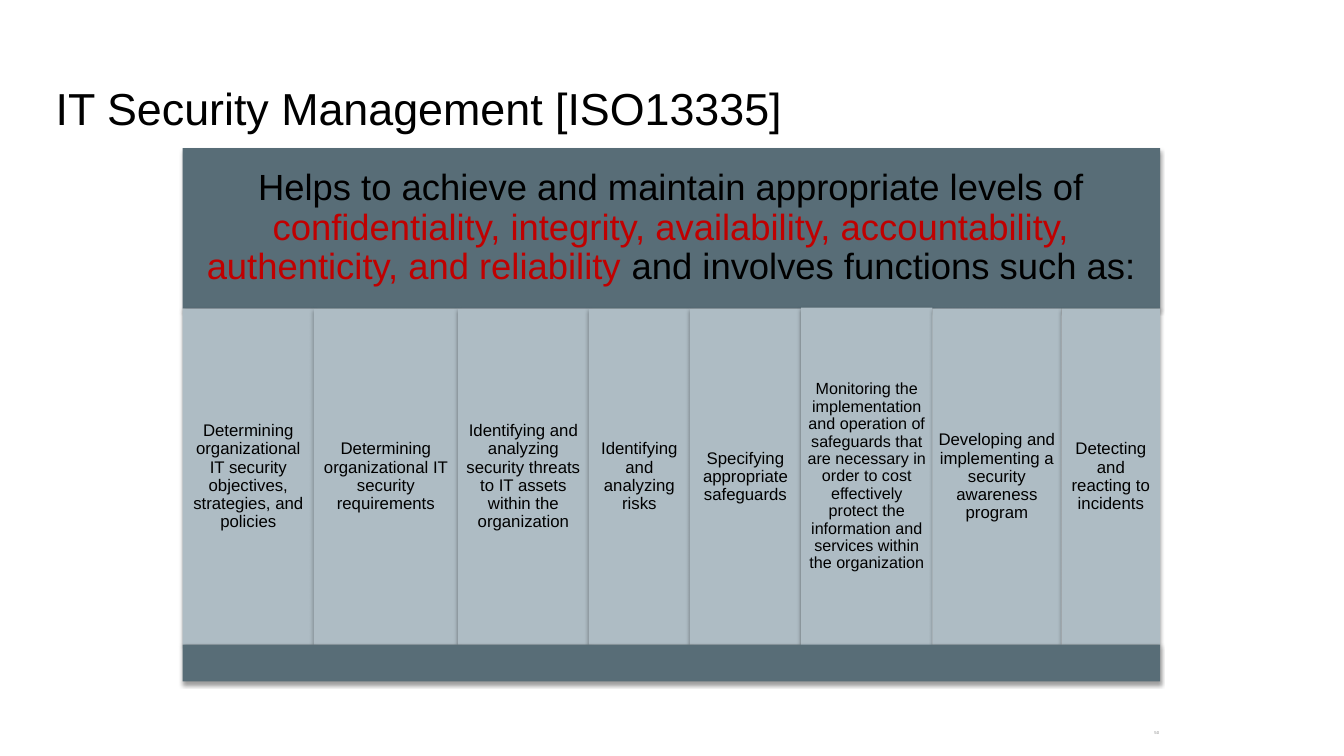
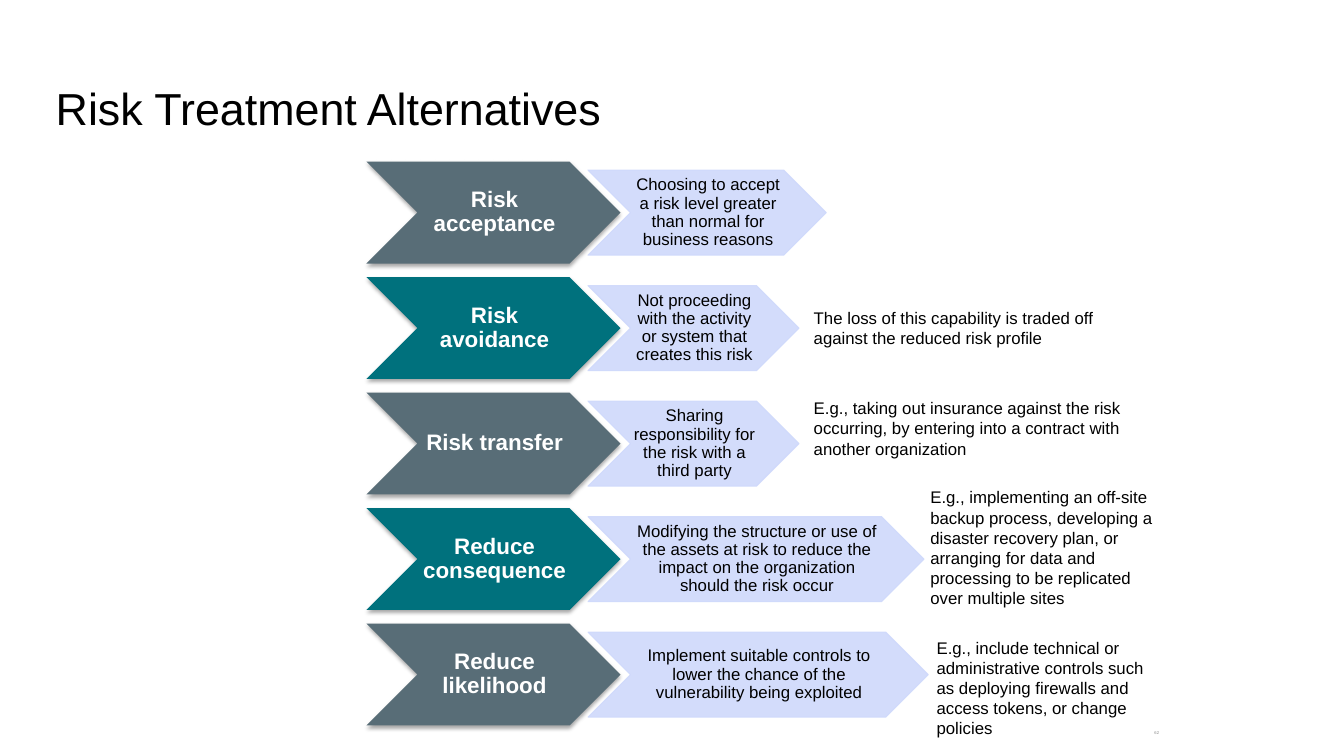
from lxml.etree import SubElement
from pptx import Presentation
from pptx.dml.color import RGBColor
from pptx.enum.shapes import MSO_SHAPE as Kind
from pptx.enum.text import MSO_ANCHOR as Anchor, MSO_AUTO_SIZE as Fit, PP_ALIGN as Align
from pptx.oxml.ns import qn
from pptx.util import Pt

PX = 9525
FONT = "Arial"
HEX = {
    "black": "000000", "white": "FFFFFF", "gray": "8C8C8C", "red": "C00000",
    "slate": "586D77", "mist": "AEBCC4", "teal": "00717D", "pale": "CFD9FB",
}
CELLS = [
    (125, "Determining organizational IT security objectives, strategies, and policies", 12, 0),
    (137, "Determining organizational IT security requirements", 12, 0),
    (125, "Identifying and analyzing security threats to IT assets within the organization", 12, 0),
    (96, "Identifying and analyzing risks", 12, 0),
    (106, "Specifying appropriate safeguards", 12, 0),
    (125, "Monitoring the implementation and operation of safeguards that are necessary "
          "in order to cost effectively protect the information and services within "
          "the organization", 11.5, 1),
    (123, "Developing and implementing a security awareness program", 12, 0),
    (94, "Detecting and reacting to incidents", 12, 0),
]
RISKS = [
    ("Risk acceptance", 227,
     "Choosing to accept a risk level greater than normal for business reasons", None),
    ("Risk avoidance", 201,
     "Not proceeding with the activity or system that creates this risk",
     (416, 24, 315, 48, "The loss of this capability is traded off against the reduced "
                        "risk profile")),
    ("Risk transfer", 201,
     "Sharing responsibility for the risk with a third party",
     (416, 0, 315, 68, "E.g., taking out insurance against the risk occurring, by entering "
                       "into a contract with another organization")),
    ("Reduce consequence", 320,
     "Modifying the structure or use of the assets at risk to reduce the impact on the "
     "organization should the risk occur",
     (527, -25, 238, 126, "E.g., implementing an off-site backup process, developing a "
                          "disaster recovery plan, or arranging for data and processing "
                          "to be replicated over multiple sites")),
    ("Reduce likelihood", 324,
     "Implement suitable controls to lower the chance of the vulnerability being exploited",
     (533, 8, 238, 87, "E.g., include technical or administrative controls such as deploying "
                       "firewalls and access tokens, or change policies")),
]


def color(name):
    return RGBColor.from_string(HEX[name])


def scale(*box):
    return [n * PX for n in box]


def style(run, size, hue="black", bold=False):
    font = run.font
    font.name, font.size, font.bold = FONT, Pt(size), bold
    font.color.rgb = color(hue)


def write(item, parts, size, hue="black", bold=False, align=Align.CENTER,
          lines=0.9, pad=(10, 5, 10, 5), anchor=Anchor.MIDDLE):
    frame = item.text_frame
    frame.word_wrap = True
    frame.auto_size = Fit.NONE
    frame.vertical_anchor = anchor
    (frame.margin_left, frame.margin_top,
     frame.margin_right, frame.margin_bottom) = scale(*pad)
    para = frame.paragraphs[0]
    para.alignment = align
    para.line_spacing = lines
    if isinstance(parts, str):
        parts = [(parts, hue)]
    for text, tint in parts:
        run = para.add_run()
        run.text = text
        style(run, size, tint, bold)


def block(slide, kind, box, hue):
    item = slide.shapes.add_shape(kind, *scale(*box))
    item.shadow.inherit = False
    item.fill.solid()
    item.fill.fore_color.rgb = color(hue)
    item.line.fill.background()
    return item


def shade(item, alpha):
    glow = item._element.spPr.find(qn("a:effectLst"))
    drop = SubElement(glow, qn("a:outerShdw"), blurRad=str(Pt(3.1)), dist=str(Pt(1.7)),
                      dir="5400000", rotWithShape="0")
    tint = SubElement(drop, qn("a:srgbClr"), val=HEX["black"])
    SubElement(tint, qn("a:alpha"), val=str(alpha * 1000))


def fade(item, hue, alpha):
    item.line.color.rgb = color(hue)
    item.line.width = Pt(0.75)
    for tint in item._element.spPr.iter(qn("a:srgbClr")):
        SubElement(tint, qn("a:alpha"), val=str(alpha * 1000))


def note(slide, box, text, size, **look):
    write(slide.shapes.add_textbox(*scale(*box)), text, size, **look)


def start(deck, title, number):
    slide = deck.slides.add_slide(deck.slide_layouts[5])
    head = slide.shapes.title
    head.left, head.top, head.width, head.height = scale(43, 62, 1192, 81)
    write(head, title, 32, align=Align.LEFT, lines=1, pad=(10, 10, 10, 10))
    note(slide, (1049, 691, 65, 14), number, 3, hue="gray", align=Align.RIGHT, lines=0.8)
    return slide


def panel(slide, x, y, wide):
    top, mid, foot = 153, 320, 35
    band = block(slide, Kind.RECTANGLE, (x, y, wide, top), "slate")
    shade(band, 38)
    write(band, [
        ("Helps to achieve and maintain appropriate levels of ", "black"),
        ("confidentiality, integrity, availability, accountability, authenticity, "
         "and reliability ", "red"),
        ("and involves functions such as:", "black"),
    ], 26, pad=(11, 11, 11, 11))
    left = x
    for width, text, size, grow in CELLS:
        box = (left, y + top - grow, width, mid + 2 * grow)
        cell = block(slide, Kind.RECTANGLE, box, "mist")
        shade(cell, 38)
        write(cell, text, size, pad=(5, 5, 5, 5))
        left += width
    base = block(slide, Kind.RECTANGLE, (x, y + top + mid, wide, foot), "slate")
    shade(base, 38)


def option(slide, x, y, hue, name, width, text, extra):
    pad = (2, 1, 0, 1)
    lead = block(slide, Kind.CHEVRON, (x, y, 242, 97), hue)
    shade(lead, 35)
    write(lead, name, 16, hue="white", bold=True, pad=pad)
    body = block(slide, Kind.CHEVRON, (x + 211, y + 8, width, 81), "pale")
    fade(body, "pale", 90)
    write(body, text, 12, pad=pad)
    if extra:
        dx, dy, wide, high, words = extra
        note(slide, (x + dx, y + dy, wide, high), words, 12,
             align=Align.LEFT, lines=1, anchor=Anchor.TOP)


def main():
    deck = Presentation()
    deck.slide_width, deck.slide_height = scale(1280, 720)
    panel(start(deck, "IT Security Management [ISO13335]", "50"), 174, 141, 931)
    slide = start(deck, "Risk Treatment Alternatives", "62")
    for i, risk in enumerate(RISKS):
        option(slide, 349, 154 + 110 * i, ("slate", "teal")[i % 2], *risk)
    deck.save("out.pptx")


if __name__ == "__main__":
    main()
